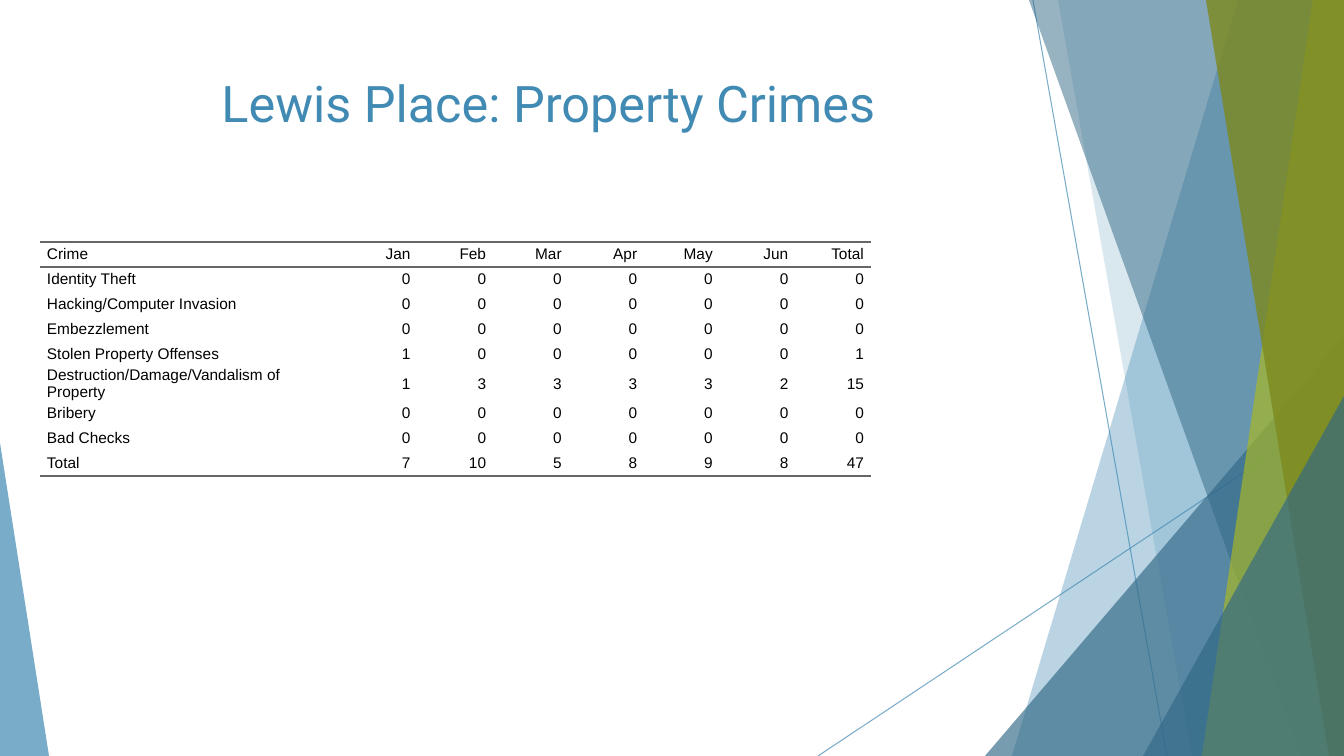
from lxml.etree import SubElement
from pptx import Presentation
from pptx.dml.color import RGBColor
from pptx.enum.shapes import MSO_CONNECTOR, MSO_SHAPE
from pptx.enum.text import MSO_ANCHOR, PP_ALIGN
from pptx.oxml import parse_xml
from pptx.oxml.ns import nsdecls, qn
from pptx.util import Pt

WIDE, HIGH = 1344, 756
PX = 914400 / 100.8

TITLE = "Lewis Place: Property Crimes"
TITLE_BOX = (75, 67, 947, 145)
CRIMES = [
    ("Crime", "Jan", "Feb", "Mar", "Apr", "May", "Jun", "Total"),
    ("Identity Theft", 0, 0, 0, 0, 0, 0, 0),
    ("Hacking/Computer Invasion", 0, 0, 0, 0, 0, 0, 0),
    ("Embezzlement", 0, 0, 0, 0, 0, 0, 0),
    ("Stolen Property Offenses", 1, 0, 0, 0, 0, 0, 1),
    ("Destruction/Damage/Vandalism of Property", 1, 3, 3, 3, 3, 2, 15),
    ("Bribery", 0, 0, 0, 0, 0, 0, 0),
    ("Bad Checks", 0, 0, 0, 0, 0, 0, 0),
    ("Total", 7, 10, 5, 8, 9, 8, 47),
]
TABLE_AT = (40, 242)
NAME_WIDE, COUNTS_WIDE, ROW_HIGH = 302, 529, 25
PLAIN_STYLE = "{2D5ABB26-0587-4C30-8999-92F81FD0307C}"

BLUE, NAVY, LIME, OLIVE = "418AB3", "316886", "A6B727", "7D891D"
RULES = [(1033, 0, 1167, HIGH), (1344, 406, 818, HIGH)]
# Bands reach the right edge: (top left x, bottom left x, colour, opacity).
# Wedges: (box, apex from 0 left to 1 right, colour, opacity).
SHARDS = [
    ("band", (1238, 1012), BLUE, 36),
    ("band", (1058, 1192), BLUE, 20),
    ("wedge", ((985, 336, 359, 420), 1), NAVY, 66),
    ("band", (1029, 1301), NAVY, 50),
    ("band", (1313, 1202), LIME, 70),
    ("band", (1206, 1329), OLIVE, 80),
    ("wedge", ((1143, 396, 201, 360), 1), NAVY, 66),
    ("wedge", ((0, 443, 49, 313), 0), BLUE, 70),
]


def px(*nums):
    return [round(n * PX) for n in nums]


def color(code):
    return RGBColor.from_string(code)


def fade(fill, share):
    """Make a solid fill or line partly see-through."""
    for tint in fill.iter(qn("a:srgbClr")):
        SubElement(tint, qn("a:alpha"), val=str(share * 1000))


def write(para, words, font, size, code):
    run = para.add_run()
    run.text = str(words)
    run.font.name = font
    run.font.size = Pt(size)
    run.font.color.rgb = color(code)


def add_rule(shapes, ends):
    rule = shapes.add_connector(MSO_CONNECTOR.STRAIGHT, *px(*ends))
    rule.line.color.rgb = color(BLUE)
    rule.line.width = Pt(0.75)
    props = rule._element.spPr
    fade(props, 70)
    SubElement(props, qn("a:effectLst"))


def add_shard(shapes, kind, form, code, share):
    if kind == "band":
        top, low = form
        path = shapes.build_freeform(top, 0, scale=PX)
        path.add_line_segments([(WIDE, 0), (WIDE, HIGH), (low, HIGH)])
        shard = path.convert_to_shape()
    else:
        box, apex = form
        shard = shapes.add_shape(MSO_SHAPE.ISOSCELES_TRIANGLE, *px(*box))
        shard.adjustments[0] = apex
    shard.shadow.inherit = False
    shard.fill.solid()
    shard.fill.fore_color.rgb = color(code)
    shard.line.fill.background()
    fade(shard._element.spPr, share)


def add_edge(cell, side):
    cell._tc.get_or_add_tcPr().append(parse_xml(
        f'<a:{side} {nsdecls("a")} w="{Pt(2)}"><a:solidFill>'
        f'<a:srgbClr val="666666"/></a:solidFill></a:{side}>'))


def fill_cell(cell, words, row, col):
    cell.margin_left = cell.margin_right = 0
    cell.margin_top = cell.margin_bottom = 0
    cell.vertical_anchor = MSO_ANCHOR.MIDDLE
    if row == 0:
        add_edge(cell, "lnT")
    if row in (0, len(CRIMES) - 1):
        add_edge(cell, "lnB")
    cell.fill.background()
    para = cell.text_frame.paragraphs[0]
    para.alignment = PP_ALIGN.RIGHT if col else PP_ALIGN.LEFT
    para.space_before = para.space_after = Pt(5)
    props = para._p.get_or_add_pPr()
    for side in ("marL", "marR"):
        props.set(side, str(px(7)[0]))
    write(para, words, "Arial", 11, "000000")


def add_crimes(shapes):
    rows, cols = len(CRIMES), len(CRIMES[0])
    size = (NAME_WIDE + COUNTS_WIDE, ROW_HIGH * rows)
    table = shapes.add_table(rows, cols, *px(*TABLE_AT, *size)).table
    table.first_row = table.horz_banding = False
    table._tbl.tblPr.find(qn("a:tableStyleId")).text = PLAIN_STYLE
    for col, column in enumerate(table.columns):
        wide = COUNTS_WIDE / (cols - 1) if col else NAME_WIDE
        column.width = px(wide)[0]
    for row, crime in enumerate(CRIMES):
        for col, words in enumerate(crime):
            fill_cell(table.cell(row, col), words, row, col)


def add_title(shapes):
    frame = shapes.add_textbox(*px(*TITLE_BOX)).text_frame
    frame.word_wrap = True
    para = frame.paragraphs[0]
    para.alignment = PP_ALIGN.CENTER
    write(para, TITLE, "Roboto", 36, BLUE)


def main():
    deck = Presentation()
    deck.slide_width, deck.slide_height = px(WIDE, HIGH)
    shapes = deck.slides.add_slide(deck.slide_layouts[6]).shapes
    for ends in RULES:
        add_rule(shapes, ends)
    for shard in SHARDS:
        add_shard(shapes, *shard)
    add_crimes(shapes)
    add_title(shapes)
    deck.save("out.pptx")


if __name__ == "__main__":
    main()
